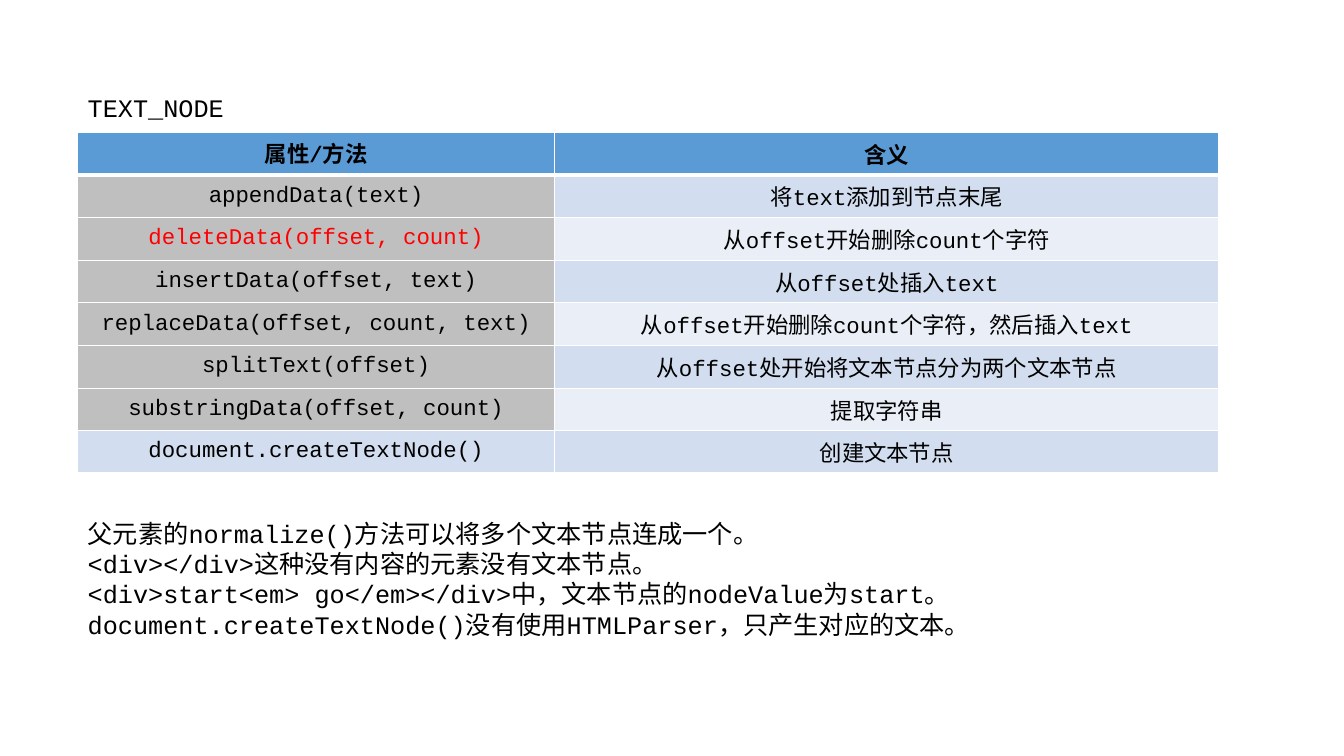
"""Build a slide on the methods of DOM text nodes."""
from lxml import etree
from pptx import Presentation
from pptx import util as u
from pptx.dml.color import RGBColor
from pptx.enum import text
from pptx.oxml import ns

BLACK = RGBColor(0x00, 0x00, 0x00)
RED = RGBColor(0xFF, 0x00, 0x00)
WHITE = RGBColor(0xFF, 0xFF, 0xFF)
HEADER_BLUE = RGBColor(0x5B, 0x9B, 0xD5)
BAND_BLUE = RGBColor(0xD2, 0xDE, 0xEF)
PALE_BLUE = RGBColor(0xEA, 0xEF, 0xF7)
METHOD_GREY = RGBColor(0xBF, 0xBF, 0xBF)

FONT = "Courier New"
LEFT = 0.77
COLUMN_WIDTHS = (4.73, 6.59)
TABLE_HEIGHT = 3.24
HIGHLIGHTED = "deleteData(offset, count)"
CREATOR = "document.createTextNode()"

METHODS = [
    ("属性/方法", "含义"),
    ("appendData(text)", "将text添加到节点末尾"),
    (HIGHLIGHTED, "从offset开始删除count个字符"),
    ("insertData(offset, text)", "从offset处插入text"),
    ("replaceData(offset, count, text)", "从offset开始删除count个字符，然后插入text"),
    ("splitText(offset)", "从offset处开始将文本节点分为两个文本节点"),
    ("substringData(offset, count)", "提取字符串"),
    (CREATOR, "创建文本节点"),
]

NOTES = [
    "父元素的normalize()方法可以将多个文本节点连成一个。",
    "<div></div>这种没有内容的元素没有文本节点。",
    "<div>start<em> go</em></div>中，文本节点的nodeValue为start。",
    "document.createTextNode()没有使用HTMLParser，只产生对应的文本。",
]


def write_text(para, words, size=18, color=BLACK, bold=False,
               align=text.PP_ALIGN.LEFT):
    """Put formatted words into a paragraph."""
    para.alignment = align
    para.space_before = u.Pt(0)
    span = para.add_run()
    span.text = words
    span.font.name = FONT
    span.font.size = u.Pt(size)
    span.font.bold = bold
    span.font.color.rgb = color


def remove_bullet(para):
    """Clear the bullet and the indent of a paragraph."""
    properties = para._p.get_or_add_pPr()
    properties.set("marL", "0")
    properties.set("indent", "0")
    etree.SubElement(properties, ns.qn("a:buNone"))


def fill_placeholder(box, lines, top, width, height):
    """Move a placeholder and write one paragraph per line."""
    box.left, box.top = u.Inches(LEFT), u.Inches(top)
    box.width, box.height = u.Inches(width), u.Inches(height)
    frame = box.text_frame
    frame.word_wrap = True
    frame.auto_size = text.MSO_AUTO_SIZE.NONE
    frame.vertical_anchor = text.MSO_ANCHOR.TOP
    for index, words in enumerate(lines):
        para = frame.add_paragraph() if index else frame.paragraphs[0]
        write_text(para, words)
        remove_bullet(para)


def add_border(cell, side, points):
    """Draw a white line on one side of a cell."""
    line = etree.SubElement(cell._tc.get_or_add_tcPr(), ns.qn(f"a:ln{side}"),
                            w=str(u.Pt(points)))
    fill = etree.SubElement(line, ns.qn("a:solidFill"))
    etree.SubElement(fill, ns.qn("a:srgbClr"), val=str(WHITE))


def cell_color(row, column, words):
    """Choose the fill of a table cell."""
    if row == 0:
        return HEADER_BLUE
    if column == 0 and words != CREATOR:
        return METHOD_GREY
    return BAND_BLUE if row % 2 else PALE_BLUE


def format_cell(cell, row, column, words):
    """Write and colour one cell of the method table."""
    for side in "LRTB":
        header_edge = (row, side) in ((0, "B"), (1, "T"))
        add_border(cell, side, 3 if header_edge else 1)
    cell.fill.solid()
    cell.fill.fore_color.rgb = cell_color(row, column, words)
    cell.vertical_anchor = text.MSO_ANCHOR.MIDDLE
    write_text(cell.text_frame.paragraphs[0], words, size=16, bold=row == 0,
               color=RED if words == HIGHLIGHTED else BLACK,
               align=text.PP_ALIGN.CENTER)


def add_method_table(page):
    """Add the table of methods and their meanings."""
    table = page.shapes.add_table(
        len(METHODS), len(COLUMN_WIDTHS), u.Inches(LEFT), u.Inches(1.31),
        u.Inches(sum(COLUMN_WIDTHS)), u.Inches(TABLE_HEIGHT)).table
    for column, width in zip(table.columns, COLUMN_WIDTHS):
        column.width = u.Inches(width)
    for row, entries in enumerate(METHODS):
        for column, words in enumerate(entries):
            format_cell(table.cell(row, column), row, column, words)


def main():
    """Build and save the deck."""
    deck = Presentation()
    deck.slide_width, deck.slide_height = u.Inches(13.33), u.Inches(7.5)
    page = deck.slides.add_slide(deck.slide_layouts[1])
    fill_placeholder(page.shapes.title, ["TEXT_NODE"], 0.87, 1.7, 0.4)
    add_method_table(page)
    fill_placeholder(page.placeholders[1], NOTES, 5.09, 9.01, 1.31)
    deck.save("out.pptx")


main()
